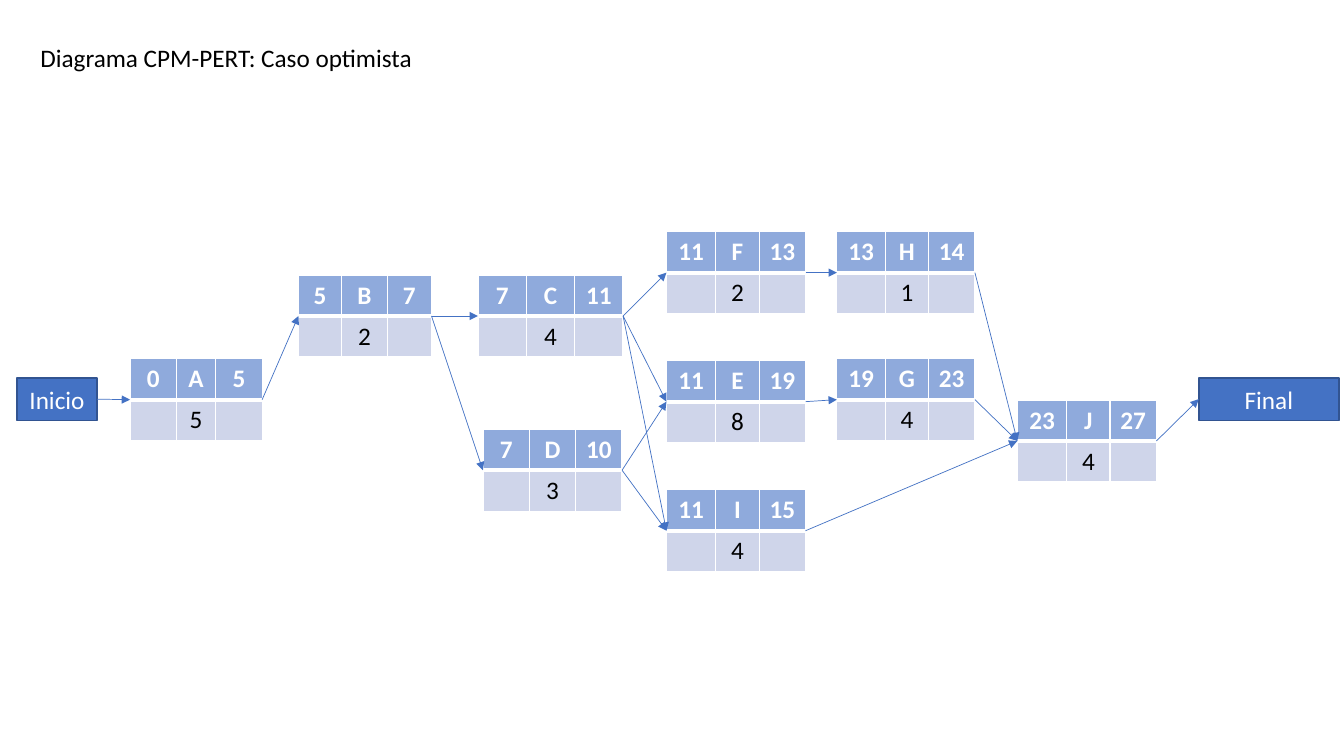
from lxml import etree
from pptx import Presentation
from pptx import util as u
from pptx.dml.color import RGBColor
from pptx.enum import shapes, text
from pptx.oxml import ns

BLUE = RGBColor(0x44, 0x72, 0xC4)
DARK_BLUE = RGBColor(0x32, 0x54, 0x91)
HEADER_BLUE = RGBColor(0x8F, 0xAA, 0xDC)
PALE_BLUE = RGBColor(0xCF, 0xD5, 0xEA)
WHITE = RGBColor(0xFF, 0xFF, 0xFF)
BLACK = RGBColor(0, 0, 0)

LEFT_SIDE, RIGHT_SIDE = 1, 3
TASK_HEIGHT = 0.81

# name: (left, top, column widths, early start, early finish, duration)
TASKS = {
    "A": (1.29, 3.56, (0.46, 0.39, 0.46), 0, 5, 5),
    "B": (2.96, 2.73, (0.43, 0.45, 0.44), 5, 7, 2),
    "C": (4.74, 2.73, (0.48, 0.48, 0.48), 7, 11, 4),
    "D": (4.79, 4.26, (0.46, 0.46, 0.46), 7, 10, 3),
    "E": (6.61, 3.58, (0.49, 0.43, 0.46), 11, 19, 8),
    "F": (6.61, 2.3, (0.49, 0.43, 0.46), 11, 13, 2),
    "G": (8.3, 3.56, (0.48, 0.43, 0.46), 19, 23, 4),
    "I": (6.61, 4.86, (0.49, 0.43, 0.46), 11, 15, 4),
    "H": (8.3, 2.3, (0.48, 0.43, 0.46), 13, 14, 1),
    "J": (10.09, 3.97, (0.49, 0.43, 0.46), 23, 27, 4),
}
# name: (left, width)
TERMINALS = {"Inicio": (0.17, 0.79), "Final": (11.89, 1.39)}
LINKS = [
    ("Inicio", "A"), ("A", "B"), ("B", "C"), ("B", "D"),
    ("C", "E"), ("D", "E"), ("C", "I"), ("D", "I"), ("C", "F"),
    ("F", "H"), ("E", "G"), ("I", "J"), ("H", "J"), ("G", "J"),
    ("J", "Final"),
]


class PertPage:
    """Draws the network on one slide and remembers its nodes by name."""

    font_name = "Calibri"
    font_size = u.Pt(18)

    def __init__(self, deck):
        self.page = deck.slides.add_slide(deck.slide_layouts[5])
        self.nodes = {}

    def set_text(self, frame, words, color, align=text.PP_ALIGN.CENTER, bold=False):
        frame.text = words
        para = frame.paragraphs[0]
        para.alignment = align
        font = para.font
        font.name, font.size, font.bold = self.font_name, self.font_size, bold
        font.color.rgb = color

    def title(self, words, left, top, width, height):
        box = self.page.shapes.title
        box.left, box.top = u.Inches(left), u.Inches(top)
        box.width, box.height = u.Inches(width), u.Inches(height)
        self.set_text(box.text_frame, words, BLACK, text.PP_ALIGN.LEFT)
        box.text_frame.vertical_anchor = text.MSO_ANCHOR.TOP
        box.text_frame.auto_size = text.MSO_AUTO_SIZE.NONE

    def terminal(self, name, left, width):
        box = self.page.shapes.add_shape(
            shapes.MSO_SHAPE.FLOWCHART_PROCESS,
            u.Inches(left), u.Inches(3.75), u.Inches(width), u.Inches(0.42))
        box.shadow.inherit = False
        box.fill.solid()
        box.fill.fore_color.rgb = BLUE
        box.line.color.rgb = DARK_BLUE
        box.line.width = u.Pt(1)
        box.text_frame.vertical_anchor = text.MSO_ANCHOR.MIDDLE
        self.set_text(box.text_frame, name, WHITE)
        self.nodes[name] = box

    def border(self, cell, side, points):
        line = etree.SubElement(cell._tc.get_or_add_tcPr(), ns.qn(f"a:{side}"),
                                w=str(u.Pt(points)))
        fill = etree.SubElement(line, ns.qn("a:solidFill"))
        etree.SubElement(fill, ns.qn("a:srgbClr"), val=str(WHITE))

    def task(self, name, left, top, widths, start, finish, duration):
        """Add a table: start, name and finish above the duration."""
        frame = self.page.shapes.add_table(
            2, 3, u.Inches(left), u.Inches(top),
            u.Inches(sum(widths)), u.Inches(TASK_HEIGHT))
        table = frame.table
        for column, width in zip(table.columns, widths):
            column.width = u.Inches(width)
        rows = [(str(start), name, str(finish)), ("", str(duration), "")]
        for r, row in enumerate(rows):
            header = r == 0
            for c, words in enumerate(row):
                cell = table.cell(r, c)
                for side in ("lnL", "lnR", "lnT", "lnB"):
                    middle = side == ("lnB" if header else "lnT")
                    self.border(cell, side, 3 if middle else 1)
                cell.fill.solid()
                cell.fill.fore_color.rgb = HEADER_BLUE if header else PALE_BLUE
                self.set_text(cell.text_frame, words, WHITE if header else BLACK,
                              bold=header)
        self.nodes[name] = frame

    def link(self, source, target):
        arrow = self.page.shapes.add_connector(
            shapes.MSO_CONNECTOR.STRAIGHT, 0, 0, 0, 0)
        arrow.begin_connect(self.nodes[source], RIGHT_SIDE)
        arrow.end_connect(self.nodes[target], LEFT_SIDE)
        arrow.line.color.rgb = BLUE
        arrow.line.width = u.Pt(0.5)
        etree.SubElement(arrow.line._get_or_add_ln(), ns.qn("a:tailEnd"),
                         type="triangle")
        etree.SubElement(arrow._element.spPr, ns.qn("a:effectLst"))


def main():
    deck = Presentation()
    deck.slide_width, deck.slide_height = u.Inches(13.33), u.Inches(7.5)
    pert = PertPage(deck)
    pert.title("Diagrama CPM-PERT: Caso optimista", 0.3, 0.37, 7.72, 0.4)
    for name, place in TERMINALS.items():
        pert.terminal(name, *place)
    for name, details in TASKS.items():
        pert.task(name, *details)
    for source, target in LINKS:
        pert.link(source, target)
    deck.save("out.pptx")


if __name__ == "__main__":
    main()
